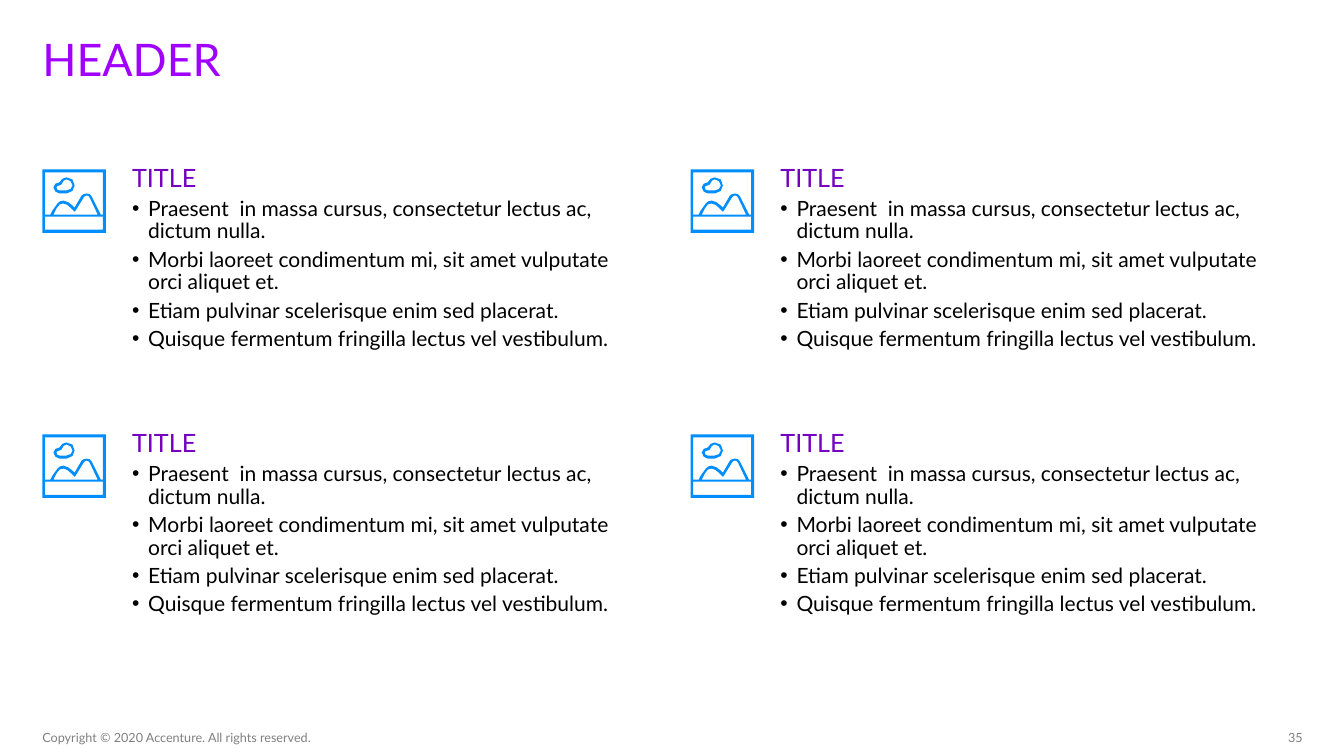
from dataclasses import dataclass
from itertools import product

from lxml.etree import SubElement
from pptx import Presentation
from pptx.dml.color import RGBColor
from pptx.enum.text import MSO_ANCHOR as Anchor, MSO_AUTO_SIZE as AutoSize, PP_ALIGN as Align
from pptx.oxml.ns import qn
from pptx.shapes.shapetree import GroupShapes
from pptx.text.text import TextFrame, _Paragraph as Paragraph
from pptx.util import Inches, Pt

FONT = "Lato"
PURPLE, VIOLET, BLUE = "A100FF", "7500C0", "008EFF"
BLACK, GREY = "000000", "808080"

COLUMNS = (0.42, 6.85)
ROWS = (1.55, 4.18)
ICON_DROP = 0.13
TEXT_INDENT = 0.89
BULLET_HANG = 0.16
CURVE_STEPS = 2

# Contours are in hundredths of an inch: pairs are corners, sixes are Bézier curves.
Contour = list[tuple[float, ...]]
FRAME: list[Contour] = [
    [(0, 0), (63, 0), (63, 63), (0, 63)],
    [(60, 3), (60, 45), (58, 45), (49, 27), (47, 24.7), (44, 24), (41, 24.7),
     (39, 26), (32, 38), (30, 36), (28, 34, 24, 31, 21, 31),
     (18, 31, 17, 32, 15, 34), (10, 41), (8, 45), (2.5, 45), (2.5, 3)],
    [(31, 41), (32, 42), (33, 41), (41, 28), (42.3, 26.5), (44, 26),
     (45.7, 26.5), (47, 28), (55, 45), (11, 45), (14, 39), (17, 35),
     (19, 34.3), (21, 34), (23, 34, 26, 36, 28, 38), (30, 40)],
    [(2.5, 47), (60, 47), (60, 60), (2.5, 60)],
]
CLOUD: list[Contour] = [
    [(17, 24), (24, 24), (29, 24, 32, 20, 32, 16), (32, 11, 29, 8, 24, 8),
     (21, 8, 18, 10, 17, 13), (14, 13, 11, 15, 11, 18), (11, 21, 14, 24, 17, 24)],
    [(17, 16), (19, 15), (20, 12, 22, 10, 24, 10), (27, 10, 30, 13, 30, 16),
     (30, 19, 27, 21, 24, 21), (17, 21), (15, 21, 14, 20, 14, 18),
     (14, 17, 15, 16, 17, 16)],
]


@dataclass(frozen=True)
class Topic:
    title: str
    points: tuple[str, ...]


@dataclass(frozen=True)
class FooterItem:
    text: str
    left: float
    width: float
    align: Align


TOPICS = [Topic("TITLE", (
    "Praesent  in massa cursus, consectetur lectus ac, dictum nulla.",
    "Morbi laoreet condimentum mi, sit amet vulputate orci aliquet et.",
    "Etiam pulvinar scelerisque enim sed placerat.",
    "Quisque fermentum fringilla lectus vel vestibulum.",
))] * 4
FOOTER = (
    FooterItem("Copyright © 2020 Accenture. All rights reserved.", 0.42, 2.98, Align.LEFT),
    FooterItem("35", 12.24, 0.68, Align.RIGHT),
)


def rgb(color: str) -> RGBColor:
    return RGBColor.from_string(color)


def place(shape, left: float, top: float, width: float, height: float) -> None:
    shape.left, shape.top = Inches(left), Inches(top)
    shape.width, shape.height = Inches(width), Inches(height)


def set_frame(frame: TextFrame, anchor: Anchor, top: float = 0, right: float = 0) -> None:
    frame.word_wrap = True
    frame.auto_size = AutoSize.NONE
    frame.vertical_anchor = anchor
    frame.margin_left = frame.margin_bottom = 0
    frame.margin_top, frame.margin_right = Inches(top), Inches(right)


def write(paragraph: Paragraph, text: str, size: float, color: str,
          line_spacing: float = 1.0, before: float = 0, align: Align = Align.LEFT) -> None:
    paragraph.alignment = align
    paragraph.line_spacing = line_spacing
    paragraph.space_before = Pt(before)
    paragraph.space_after = Pt(0)
    run = paragraph.add_run()
    run.text = text
    run.font.name, run.font.size, run.font.bold = FONT, Pt(size), False
    run.font.color.rgb = rgb(color)


def set_bullet(paragraph: Paragraph, char: str = "") -> None:
    """Give the paragraph a hanging bullet, or none when char is empty."""
    props = paragraph._p.get_or_add_pPr()
    hang = Inches(BULLET_HANG) if char else 0
    props.set("marL", str(hang))
    props.set("indent", str(-hang))
    if char:
        SubElement(props, qn("a:buFont"), typeface="Arial")
        SubElement(props, qn("a:buChar"), char=char)
    else:
        SubElement(props, qn("a:buNone"))


def flatten(contour: Contour) -> list[tuple[float, float]]:
    """Turn corners and Bézier curves into a list of points."""
    points = []
    for segment in contour:
        if len(segment) == 2:
            points.append(segment)
            continue
        controls = (points[-1], segment[:2], segment[2:4], segment[4:])
        for step in range(1, CURVE_STEPS + 1):
            t = step / CURVE_STEPS
            weights = ((1 - t) ** 3, 3 * t * (1 - t) ** 2, 3 * t * t * (1 - t), t ** 3)
            points.append(tuple(
                sum(w * c[axis] for w, c in zip(weights, controls)) for axis in (0, 1)))
    return points


def draw_outline(shapes: GroupShapes, contours: list[Contour], left: float, top: float) -> None:
    # Tenths of the contour unit keep the curves smooth after rounding.
    outlines = [[(x * 10, y * 10) for x, y in flatten(contour)] for contour in contours]
    builder = shapes.build_freeform(*outlines[0][0], scale=Inches(0.001))
    builder.add_line_segments(outlines[0][1:])
    for start, *rest in outlines[1:]:
        builder.move_to(*start)
        builder.add_line_segments(rest)
    outline = builder.convert_to_shape(Inches(left), Inches(top))
    outline.shadow.inherit = False
    outline.fill.solid()
    outline.fill.fore_color.rgb = rgb(BLUE)
    outline.line.fill.background()


def draw_topic(slide, body, topic: Topic, left: float, top: float) -> None:
    icon = slide.shapes.add_group_shape()
    for contours in (FRAME, CLOUD):
        draw_outline(icon.shapes, contours, left, top + ICON_DROP)

    place(body, left + TEXT_INDENT, top, 5.17, 2.18)
    frame = body.text_frame
    set_frame(frame, Anchor.TOP, top=0.12, right=0.08)
    heading = frame.paragraphs[0]
    set_bullet(heading)
    write(heading, topic.title, 18, VIOLET, line_spacing=0.8)
    for point in topic.points:
        item = frame.add_paragraph()
        set_bullet(item, "•")
        write(item, point, 15, BLACK, line_spacing=0.9, before=4)


def draw_footer(slide, item: FooterItem) -> None:
    box = slide.shapes.add_textbox(Inches(item.left), Inches(7.24), Inches(item.width), Inches(0.15))
    set_frame(box.text_frame, Anchor.BOTTOM)
    write(box.text_frame.paragraphs[0], item.text, 9, GREY, align=item.align)


def main() -> None:
    deck = Presentation()
    deck.slide_width, deck.slide_height = Inches(13.33), Inches(7.5)
    slide = deck.slides.add_slide(deck.slide_layouts.get_by_name("Comparison"))
    header, *bodies = slide.placeholders

    place(header, 0.42, 0.42, 12.5, 0.98)
    set_frame(header.text_frame, Anchor.TOP)
    write(header.text_frame.paragraphs[0], "HEADER", 32, PURPLE, line_spacing=0.8)

    for body, topic, (top, left) in zip(bodies, TOPICS, product(ROWS, COLUMNS)):
        draw_topic(slide, body, topic, left, top)
    for item in FOOTER:
        draw_footer(slide, item)
    deck.save("out.pptx")


if __name__ == "__main__":
    main()
